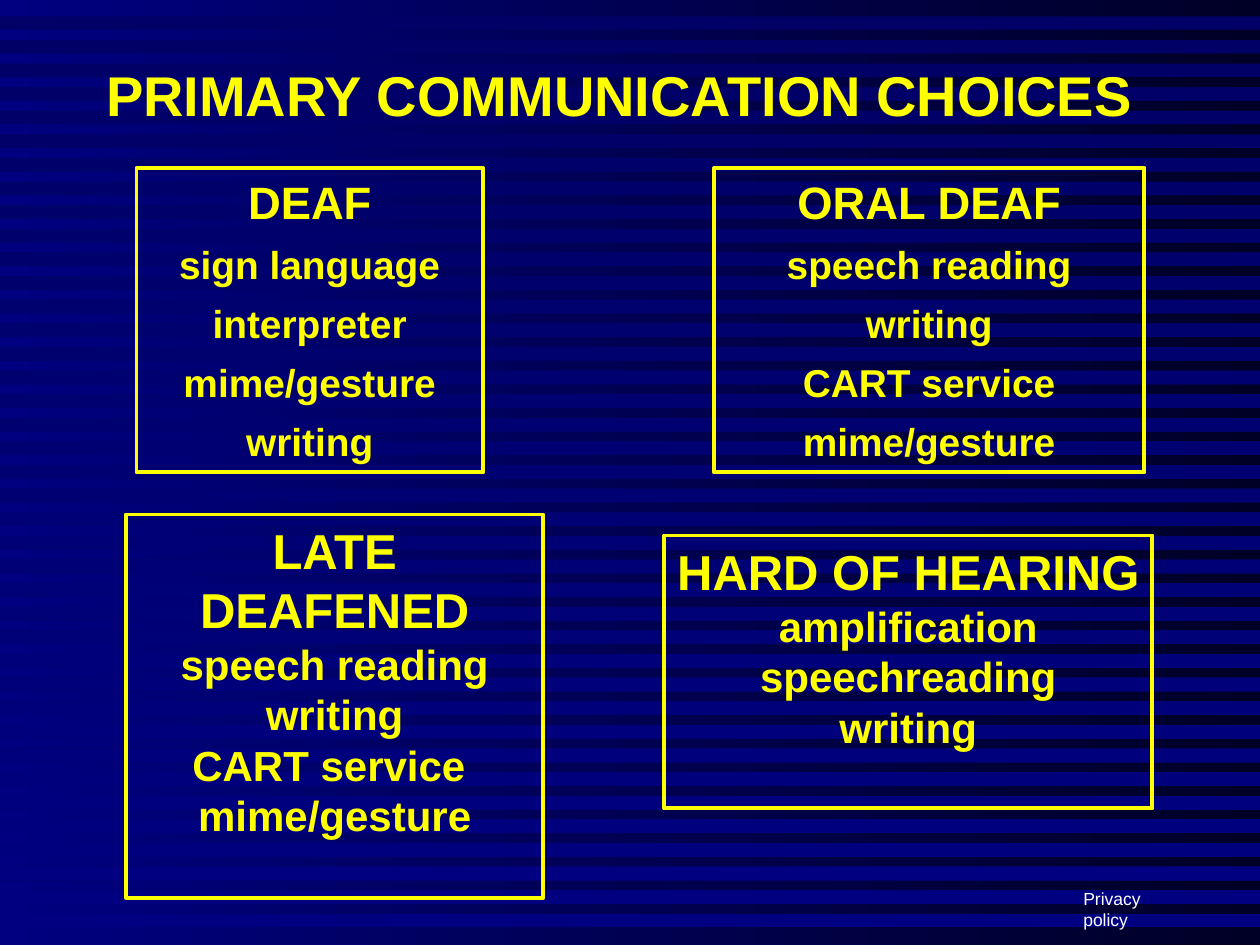
from dataclasses import dataclass

from pptx import Presentation
from pptx.dml.color import RGBColor
from pptx.enum.shapes import MSO_SHAPE
from pptx.enum.text import MSO_ANCHOR, PP_ALIGN
from pptx.util import Inches, Pt

RECT = MSO_SHAPE.RECTANGLE
TOP, MID = MSO_ANCHOR.TOP, MSO_ANCHOR.MIDDLE
LEFT, CENTER = PP_ALIGN.LEFT, PP_ALIGN.CENTER
WIDE, HIGH = Inches(10), Inches(7.5)
COLS, ROWS = 120, 90


@dataclass(frozen=True)
class Theme:
    """Hold the colours and type sizes of the slide."""
    face: str = "Arial"
    ink: str = "FFFF00"
    note: str = "FFFFFF"
    deep: str = "000026"
    navy: str = "000066"
    blue: str = "000080"
    title: float = 32
    small: float = 10
    upper: tuple = (25.9, 22.2, 7)
    lower: tuple = (28, 24, 0)
    edge: float = 2.25


THEME = Theme()

CARDS = [
    ((13, 16, 33, 29), THEME.upper, True,
     ["DEAF", "sign language", "interpreter", "mime/gesture", "writing"]),
    ((68, 16, 41, 29), THEME.upper, True,
     ["ORAL DEAF", "speech reading", "writing", "CART service", "mime/gesture"]),
    ((12, 49, 39.75, 36.5), THEME.lower, True,
     ["LATE DEAFENED", "speech reading", "writing", "CART service ", "mime/gesture"]),
    ((63.25, 51, 46.5, 26), THEME.lower, False,
     ["HARD OF HEARING", "amplification", "speechreading", "writing"]),
]


def place(box):
    """Turn a grid box into slide lengths."""
    x, y, w, h = box
    return [int(n) for n in (x * WIDE / COLS, y * HIGH / ROWS,
                             w * WIDE / COLS, h * HIGH / ROWS)]


def apply(item, form):
    """Set each attribute named in a dict of format values."""
    for name, value in form.items():
        setattr(item, name, value)


def shade(fill, first, last, angle):
    """Give a fill a two-stop gradient."""
    fill.gradient()
    fill.gradient_angle = angle
    for stop, tone, spot in zip(fill.gradient_stops, (first, last), (0, 1)):
        stop.color.rgb = RGBColor.from_string(tone)
        stop.position = spot


def write(shape, lines, sizes, color, bold=True, wrap=True, anchor=TOP, align=CENTER, gap=0):
    """Fill a shape with one styled paragraph per line."""
    frame = shape.text_frame
    apply(frame, {"word_wrap": wrap, "vertical_anchor": anchor})
    for i, (line, size) in enumerate(zip(lines, sizes)):
        para = frame.add_paragraph() if i else frame.paragraphs[0]
        apply(para, {"alignment": align, "space_before": Pt(gap if i else 0)})
        run = para.add_run()
        run.text = line
        apply(run.font, {"name": THEME.face, "size": Pt(size), "bold": bold})
        run.font.color.rgb = RGBColor.from_string(color)


def backdrop(slide, box):
    """Lay a dark gradient panel under evenly spaced stripes."""
    shade(slide.background.fill, THEME.navy, THEME.blue, 270)
    x, y, w, h = place(box)
    panel = slide.shapes.add_shape(RECT, x, y, w, h)
    shade(panel.fill, THEME.deep, THEME.blue, 180)
    step, thick, count = h / 40, h * 0.014, 39
    tops = [int(y + h * 0.0175 + i * step) for i in range(count)]
    path = slide.shapes.build_freeform(x, tops[0])
    for top in tops:
        base = int(top + thick)
        path.move_to(x, top)
        path.add_line_segments([(x + w, top), (x + w, base), (x, base)])
    bands = path.convert_to_shape()
    shade(bands.fill, THEME.navy, THEME.blue, 270)
    for shape in (panel, bands):
        shape.shadow.inherit = False
        shape.line.fill.background()


def label(slide, box, words, size, color, **form):
    """Place one line of text in a box."""
    write(slide.shapes.add_textbox(*place(box)), [words], [size], color, **form)


def card(slide, box, scale, wrap, lines):
    """Draw an outlined box with a heading and its choices."""
    head, body, gap = scale
    shape = slide.shapes.add_shape(RECT, *place(box))
    shape.shadow.inherit = False
    shape.fill.background()
    shape.line.color.rgb = RGBColor.from_string(THEME.ink)
    shape.line.width = Pt(THEME.edge)
    sizes = [head] + [body] * (len(lines) - 1)
    write(shape, lines, sizes, THEME.ink, wrap=wrap, gap=gap)


def main():
    """Build and save the slide."""
    deck = Presentation()
    apply(deck, {"slide_width": WIDE, "slide_height": HIGH})
    slide = deck.slides.add_slide(deck.slide_layouts[6])
    backdrop(slide, (0, 0, COLS, ROWS))
    label(slide, (8, 4, 102, 10), "PRIMARY COMMUNICATION CHOICES",
          THEME.title, THEME.ink, anchor=MID)
    for box, scale, wrap, lines in CARDS:
        card(slide, box, scale, wrap, lines)
    label(slide, (102, 84, 12.5, 3.25), "Privacy policy",
          THEME.small, THEME.note, bold=False, wrap=False, align=LEFT)
    deck.save("out.pptx")


if __name__ == "__main__":
    main()
